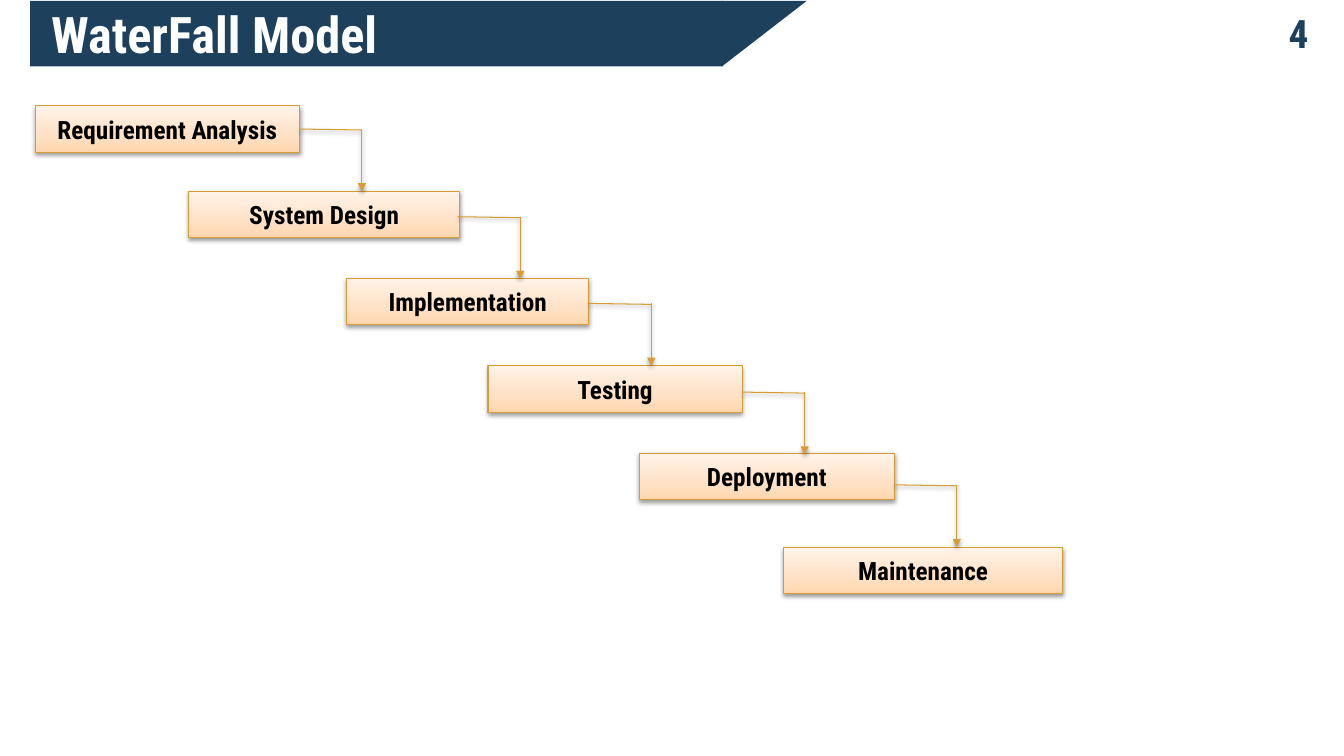
from lxml import etree
from pptx import Presentation
from pptx.dml.color import RGBColor
from pptx.enum.shapes import MSO_CONNECTOR, MSO_SHAPE
from pptx.enum.text import MSO_ANCHOR, PP_ALIGN
from pptx.oxml import parse_xml
from pptx.oxml.ns import nsdecls, qn
from pptx.util import Inches, Pt

RECTANGLE = MSO_SHAPE.RECTANGLE
RIGHT_TRIANGLE = MSO_SHAPE.RIGHT_TRIANGLE
STRAIGHT = MSO_CONNECTOR.STRAIGHT
MIDDLE = MSO_ANCHOR.MIDDLE
LEFT, CENTER = PP_ALIGN.LEFT, PP_ALIGN.CENTER
RIGHT_SIDE = 3

COLORS = {
    "navy": "1D405D",
    "white": "FFFFFF",
    "black": "000000",
    "gold": "D79D34",
    "peach": "FFD6AD",
    "light_peach": "FFE1C5",
    "cream": "FFF3E9",
}
STAGE_GRADIENT = [(0, "peach"), (35, "light_peach"), (100, "cream")]
STAGE_HEIGHT = 0.46
ARROW_SPAN = 0.62
STAGES = [
    ("Requirement Analysis", 0.35, 1.05, 2.62),
    ("System Design", 1.87, 1.9, 2.69),
    ("Implementation", 3.44, 2.76, 2.4),
    ("Testing", 4.84, 3.63, 2.52),
    ("Deployment", 6.34, 4.5, 2.53),
    ("Maintenance", 7.77, 5.43, 2.77),
]
STEP_STARTS = [(2.97, 1.28), (4.54, 2.15), (5.84, 3.01), (7.36, 3.89), (8.87, 4.81)]


class SlideBuilder:
    font = "Roboto Condensed"

    def __init__(self, slide):
        self.slide = slide

    def color(self, name):
        return RGBColor.from_string(COLORS[name])

    def set_text(self, shape, text, size, color, align):
        frame = shape.text_frame
        frame.word_wrap = True
        frame.vertical_anchor = MIDDLE
        frame.text = text
        paragraph = frame.paragraphs[0]
        paragraph.alignment = align
        font = paragraph.runs[0].font
        font.name, font.size, font.bold = self.font, Pt(size), True
        font.color.rgb = self.color(color)
        return paragraph

    def text(self, box, text, size, color, align, indent=0):
        label = self.slide.shapes.add_textbox(*map(Inches, box))
        paragraph = self.set_text(label, text, size, color, align)
        paragraph._p.get_or_add_pPr().set("marL", str(Inches(indent)))
        return label

    def banner_part(self, kind, box):
        part = self.slide.shapes.add_shape(kind, *map(Inches, box))
        part.shadow.inherit = False
        part.fill.solid()
        part.fill.fore_color.rgb = self.color("navy")
        part.line.fill.background()
        part.element.spPr.find(qn("a:xfrm")).set("flipV", "1")

    def outline(self, item):
        item.line.color.rgb = self.color("gold")
        item.line.width = Pt(0.75)

    def cast_shadow(self, item):
        item.element.spPr.append(parse_xml(
            f'<a:effectLst {nsdecls("a")}>'
            '<a:outerShdw blurRad="40000" dist="20000" dir="5400000" rotWithShape="0">'
            f'<a:srgbClr val="{COLORS["black"]}"><a:alpha val="38000"/></a:srgbClr>'
            '</a:outerShdw></a:effectLst>'))

    def stage(self, name, left, top, width):
        box = self.slide.shapes.add_shape(
            RECTANGLE, *map(Inches, (left, top, width, STAGE_HEIGHT)))
        stops = "".join(
            f'<a:gs pos="{position * 1000}"><a:srgbClr val="{COLORS[color]}"/></a:gs>'
            for position, color in STAGE_GRADIENT)
        box.element.spPr.append(parse_xml(
            f'<a:gradFill {nsdecls("a")} rotWithShape="1"><a:gsLst>{stops}</a:gsLst>'
            '<a:lin ang="16200000" scaled="0"/></a:gradFill>'))
        self.outline(box)
        self.cast_shadow(box)
        self.set_text(box, name, 18, "black", CENTER)
        return box

    def line(self, start, end, arrow=False):
        connector = self.slide.shapes.add_connector(
            STRAIGHT, *map(Inches, (*start, *end)))
        self.outline(connector)
        if arrow:
            outline = connector.element.spPr.find(qn("a:ln"))
            etree.SubElement(outline, qn("a:tailEnd"), type="triangle")
        self.cast_shadow(connector)
        return connector

    def step(self, stage, x, y):
        corner_x = x + ARROW_SPAN
        run = self.line((x, y), (corner_x, y + 0.01))
        side_middle = stage.top + stage.height / 2
        if abs(Inches(y) - side_middle) < Inches(0.01):
            run.begin_connect(stage, RIGHT_SIDE)
        self.line((corner_x, y), (corner_x, y + ARROW_SPAN), arrow=True)


def main():
    presentation = Presentation()
    presentation.slide_width = Inches(13.33)
    presentation.slide_height = Inches(7.5)
    builder = SlideBuilder(
        presentation.slides.add_slide(presentation.slide_layouts[6]))

    builder.banner_part(RECTANGLE, (0.3, 0.01, 6.87, 0.65))
    builder.banner_part(RIGHT_TRIANGLE, (7.16, 0.01, 0.84, 0.65))
    page_number = builder.text((12.44, 0.1, 0.88, 0.45), "4", 28, "navy", CENTER)
    page_number.text_frame.margin_top = Inches(0.1)
    page_number.text_frame.margin_bottom = Inches(0.1)
    builder.text((0.3, 0, 6.73, 0.66), "WaterFall Model", 36, "white", LEFT, indent=0.11)

    stages = [builder.stage(*stage) for stage in STAGES]
    for stage, start in zip(stages, STEP_STARTS):
        builder.step(stage, *start)

    presentation.save("out.pptx")


if __name__ == "__main__":
    main()
